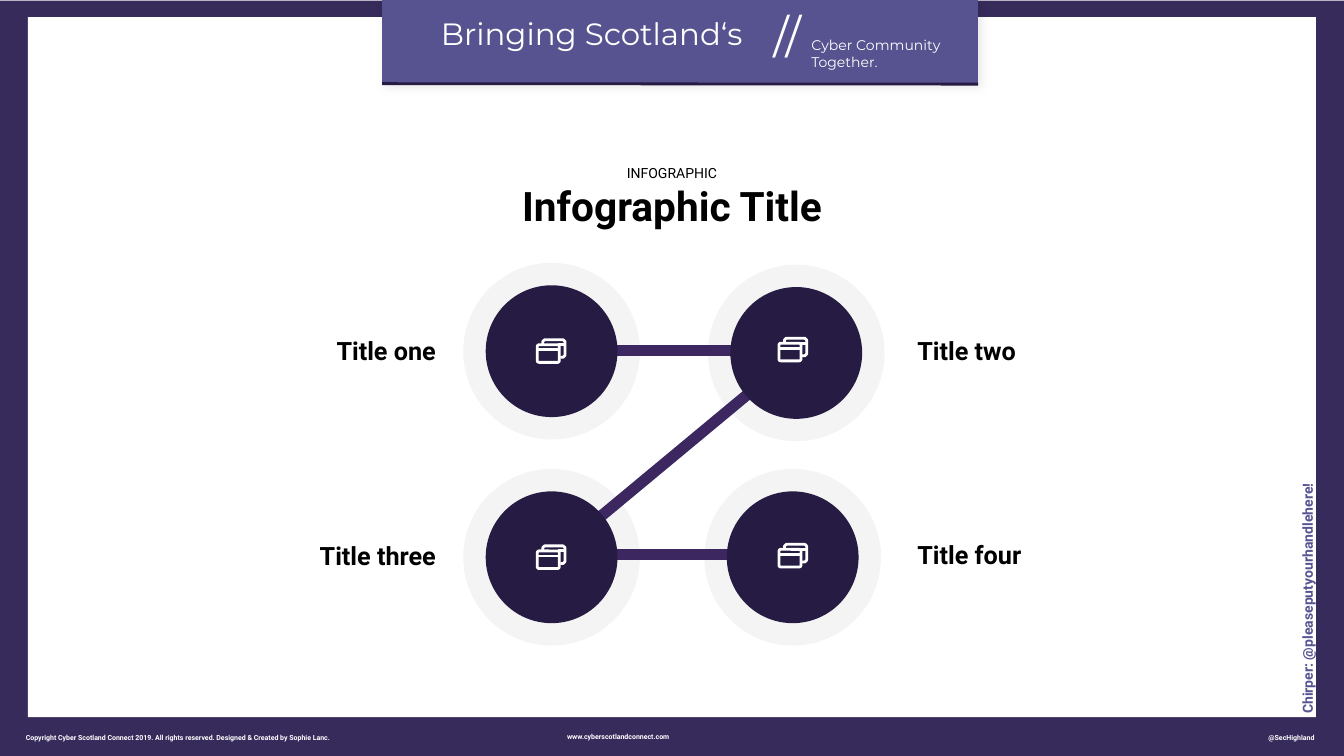
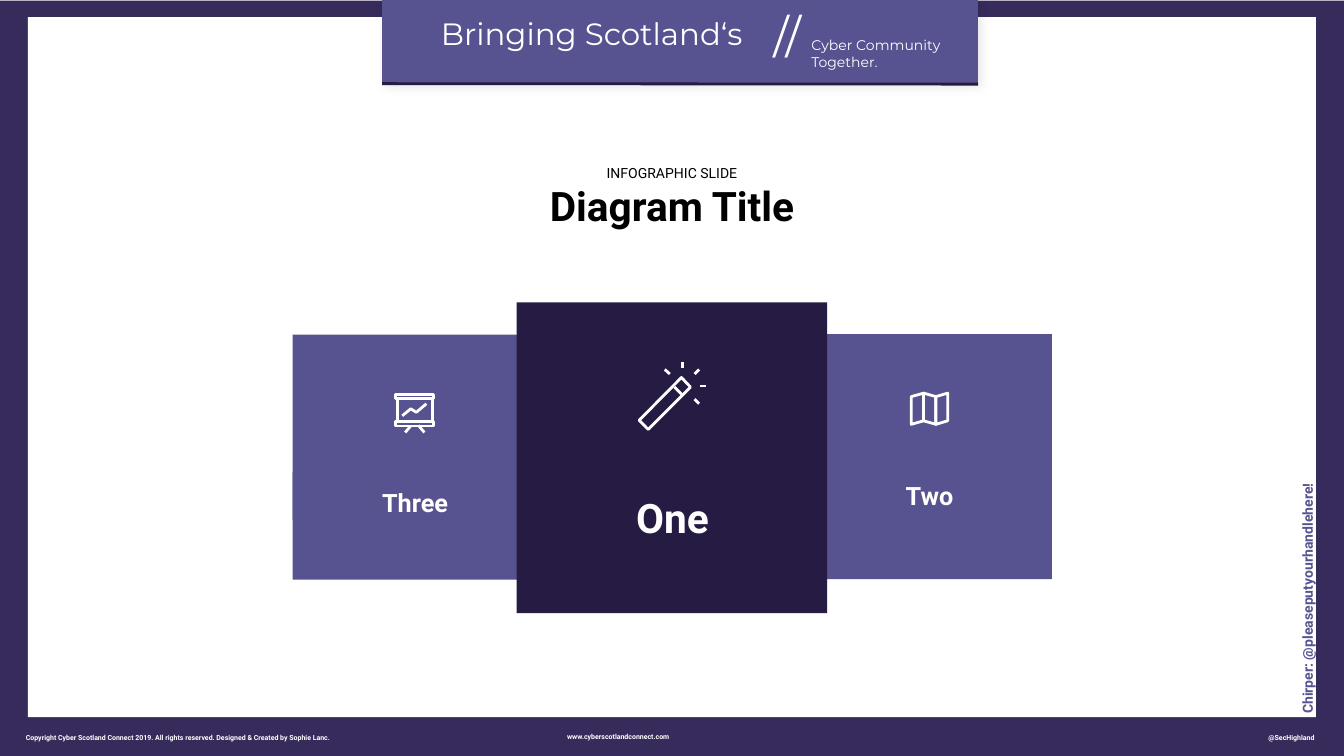
from dataclasses import dataclass

from lxml import etree
from pptx import Presentation
from pptx import util as u
from pptx.dml import color as c
from pptx.enum import shapes, text
from pptx.oxml import ns

Pt = u.Pt
LEFT, CENTER, RIGHT = text.PP_ALIGN.LEFT, text.PP_ALIGN.CENTER, text.PP_ALIGN.RIGHT
TOP, MIDDLE, BOTTOM = text.MSO_ANCHOR.TOP, text.MSO_ANCHOR.MIDDLE, text.MSO_ANCHOR.BOTTOM
RECT, OVAL, ROUNDED = (shapes.MSO_SHAPE.RECTANGLE, shapes.MSO_SHAPE.OVAL,
                       shapes.MSO_SHAPE.ROUNDED_RECTANGLE)


@dataclass(frozen=True)
class Theme:
    # Colours
    frame: str = "372B5C"
    violet: str = "575390"
    dark: str = "261B42"
    link: str = "3D2761"
    halo: str = "F4F4F4"
    white: str = "FFFFFF"
    black: str = "000000"
    # Fonts and type sizes
    body_font: str = "Roboto"
    banner_font: str = "Montserrat"
    slashes: int = 65
    title: int = 58
    banner: int = 44
    label: int = 36
    small: int = 20
    footer: int = 10
    # Line widths
    thin: int = 4
    thick: int = 16


THEME = Theme()


def rgb(value):
    return c.RGBColor.from_string(value)


def write(box, words, *, size, color=THEME.black, font=THEME.body_font, bold=False,
          align=LEFT, anchor=TOP, inset=0, append=False):
    """Put one paragraph of formatted text in a shape."""
    frame = box.text_frame
    frame.word_wrap = True
    frame.auto_size = text.MSO_AUTO_SIZE.NONE
    frame.vertical_anchor = anchor
    frame.margin_left = frame.margin_right = Pt(inset)
    frame.margin_top = frame.margin_bottom = Pt(inset)
    para = frame.add_paragraph() if append else frame.paragraphs[0]
    para.alignment = align
    span = para.add_run()
    span.text = words
    span.font.name = font
    span.font.size = Pt(size)
    span.font.bold = bold
    span.font.color.rgb = rgb(color)


class Page:
    """The deck's style and the slide being drawn."""

    def __init__(self, deck, theme=THEME):
        self.deck = deck
        self.theme = theme
        self.slide = None

    # Basic elements
    def start(self, kicker, title):
        self.slide = self.deck.slides.add_slide(self.deck.slide_layouts[5])
        self.frame()
        self.heading(kicker, title)

    def paint(self, shape, fill=None, line=None):
        shape.shadow.inherit = False
        if fill:
            shape.fill.solid()
            shape.fill.fore_color.rgb = rgb(fill)
        else:
            shape.fill.background()
        if line:
            shape.line.color.rgb = rgb(line)
            shape.line.width = Pt(self.theme.thin)
        else:
            shape.line.fill.background()
        return shape

    def shape(self, kind, left, top, width, height, fill=None, line=None):
        shape = self.slide.shapes.add_shape(kind, Pt(left), Pt(top), Pt(width), Pt(height))
        return self.paint(shape, fill, line)

    def disc(self, x, y, diameter, fill):
        return self.shape(OVAL, x - diameter / 2, y - diameter / 2, diameter, diameter, fill)

    def line(self, start, end, color=THEME.white, width=THEME.thin):
        line = self.slide.shapes.add_connector(
            shapes.MSO_CONNECTOR.STRAIGHT, *(Pt(value) for value in (*start, *end)))
        line.line.color.rgb = rgb(color)
        line.line.width = Pt(width)
        etree.SubElement(line._element.spPr, ns.qn("a:effectLst"))
        return line

    def outline(self, left, top, points, closed=True, fill=None):
        spots = [(Pt(left + x), Pt(top + y)) for x, y in points]
        builder = self.slide.shapes.build_freeform(*spots[0])
        builder.add_line_segments(spots[1:], close=closed)
        return self.paint(builder.convert_to_shape(), fill, self.theme.white)

    def strokes(self, left, top, lines):
        for x1, y1, x2, y2 in lines:
            self.line((left + x1, top + y1), (left + x2, top + y2))

    def text(self, left, top, width, height, words, **style):
        box = self.slide.shapes.add_textbox(Pt(left), Pt(top), Pt(width), Pt(height))
        write(box, words, **style)
        return box

    # Shared parts
    def frame(self):
        t = self.theme
        self.shape(RECT, 0, 1, 1920, 1079, t.frame)
        self.shape(RECT, 40, 24.5, 1840, 1000, t.white)
        self.soft_shadow(self.shape(RECT, 546, 0, 851, 119, t.violet))
        self.line((546, 119.5), (1397.5, 120.2), t.dark)

        # Banner
        banner = dict(color=t.white, font=t.banner_font)
        self.text(618.5, 21.6, 454, 53, "Bringing Scotland‘s", size=t.banner,
                  align=CENTER, **banner)
        self.text(1022.4, 10.8, 204, 78.5, "//", size=t.slashes, align=CENTER, **banner)
        motto = self.text(1159, 52.6, 238, 48, "Cyber Community", size=t.small, **banner)
        write(motto, "Together.", size=t.small, append=True, **banner)

        # Footer
        for left, top, width, words in (
                (1.5, 1048.3, 505, "Copyright Cyber Scotland Connect 2019. All rights reserved. "
                                   "Designed & Created by Sophie Lanc."),
                (795.6, 1046.9, 175, "www.cyberscotlandconnect.com"),
                (1805, 1048.3, 80, "@SecHighland")):
            self.text(left, top, width, 12.2, words, size=t.footer, color=t.white,
                      bold=True, align=CENTER, anchor=MIDDLE)

        # Side handle
        handle = self.text(1694.2, 834.5, 347, 23.8, "Chirper: @pleaseputyourhandlehere!",
                           size=t.small, color=t.violet, bold=True, anchor=BOTTOM)
        handle.rotation = 270

    def soft_shadow(self, shape):
        effects = shape._element.spPr.find(ns.qn("a:effectLst"))
        shadow = etree.SubElement(effects, ns.qn("a:outerShdw"), blurRad=str(Pt(15)),
                                  dist=str(Pt(5)), dir="2700000", rotWithShape="0")
        color = etree.SubElement(shadow, ns.qn("a:srgbClr"), val=self.theme.black)
        etree.SubElement(color, ns.qn("a:alpha"), val="10000")

    def heading(self, kicker, title):
        box = self.slide.shapes.title
        box.left, box.top, box.width, box.height = Pt(498), Pt(234.7), Pt(924), Pt(94.3)
        write(box, kicker, size=self.theme.small, align=CENTER)
        write(box, title, size=self.theme.title, bold=True, align=CENTER, append=True)
        # Bring the title in front of the frame
        self.slide.shapes._spTree.append(box._element)

    # Icons
    def windows_icon(self, x, y):
        left, top = x - 19.8, y - 16.2
        front = self.shape(ROUNDED, left, top + 7.2, 31.5, 25.2, line=self.theme.white)
        front.adjustments[0] = 0.1
        self.outline(left, top, [(7.9, 6.5), (7.9, 2.5), (10.5, 0), (37, 0), (39.6, 2.5),
                                 (39.6, 22.6), (37, 25.2), (33.1, 25.2)], closed=False)
        self.strokes(left, top, [(0, 14.4, 31.5, 14.4), (29.5, 7.2, 39.6, 7.2)])

    def board_icon(self, left, top):
        t = self.theme
        for x, y, width, height in ((0, 0, 55.4, 5.8), (0, 38.9, 55.4, 5.8),
                                    (2.9, 5.8, 50.4, 33.1)):
            self.shape(RECT, left + x, top + y, width, height, t.violet, t.white)
        self.strokes(left, top, [(41.8, 54, 33.1, 43.9), (22.3, 44.6, 14.4, 54)])
        self.outline(left, top, [(10.1, 30.2), (22.3, 20.2), (30.2, 25.2), (44.6, 13)],
                     closed=False)

    def map_icon(self, left, top):
        folds = [(0, 5), (17.6, 0), (35.2, 5), (52, 0)]
        for (x1, y1), (x2, y2) in zip(folds, folds[1:]):
            self.outline(left, top, [(x1, y1), (x2, y2), (x2, y2 + 39.6), (x1, y1 + 39.6)],
                         fill=self.theme.violet)

    def wand_icon(self, left, top):
        self.outline(left, top, [(13, 95.8), (0, 82.8), (60.5, 21.6), (73.4, 35.3)])
        self.strokes(left, top, [
            (50.4, 35.3, 60.5, 45.4), (85.7, 59, 79.2, 52.6), (95.8, 33.8, 87.1, 33.8),
            (85.7, 10.1, 79.2, 16.6), (61.9, 0, 61.9, 8.6), (36.7, 10.1, 43.9, 16.6)])

    # Diagram parts
    def card(self, left, top, label_top, label):
        t = self.theme
        self.shape(RECT, left, top, 350, 350, t.violet)
        band = self.shape(RECT, left, label_top, 350, 68.4, t.violet)
        write(band, label, size=t.label, color=t.white, bold=True, align=CENTER,
              anchor=BOTTOM, inset=3.6)


def draw_infographic(page):
    t = page.theme
    page.start("INFOGRAPHIC", "Infographic Title")

    # Disc centre, icon centre, label position and alignment
    steps = [
        ("Title one", (788, 501.7), (787.3, 501.5), (208, 435), RIGHT),
        ("Title two", (1137.5, 504.2), (1132.6, 499.3), (1307, 435), LEFT),
        ("Title three", (788, 796.1), (787.3, 796), (208, 728), RIGHT),
        ("Title four", (1132.4, 796.1), (1132.6, 793.8), (1307, 726.5), LEFT),
    ]
    for _, centre, *_ in steps:
        page.disc(*centre, 252.4, t.halo)
    for start, end in (((784, 792.7), (1135.4, 792.7)), ((788.4, 500.4), (1131.8, 500.4)),
                       ((1136.9, 506.2), (783.4, 799.9))):
        page.line(start, end, t.link, t.thick)
    for label, centre, icon, place, align in steps:
        page.disc(*centre, 188.3, t.dark)
        page.windows_icon(*icon)
        page.text(*place, 418.3, 130.3, label, size=t.label, bold=True, align=align,
                  anchor=MIDDLE, inset=3.6)


def draw_diagram(page):
    t = page.theme
    page.start("INFOGRAPHIC SLIDE", "Diagram Title")

    # Side cards
    page.card(418, 478, 674, "Three")
    page.board_icon(564.5, 563.8)
    page.card(1152.7, 477.5, 664.6, "Two")
    page.map_icon(1301.8, 561.6)

    # Centre card
    page.shape(RECT, 738, 432, 443.5, 444, t.dark)
    page.text(738.7, 699, 444, 78, "One", size=t.title, color=t.white, bold=True,
              align=CENTER, anchor=BOTTOM, inset=3.6)
    page.wand_icon(913, 517.7)


def main():
    deck = Presentation()
    deck.slide_width, deck.slide_height = Pt(1920), Pt(1080)
    page = Page(deck)
    draw_infographic(page)
    draw_diagram(page)
    deck.save("out.pptx")


if __name__ == "__main__":
    main()
